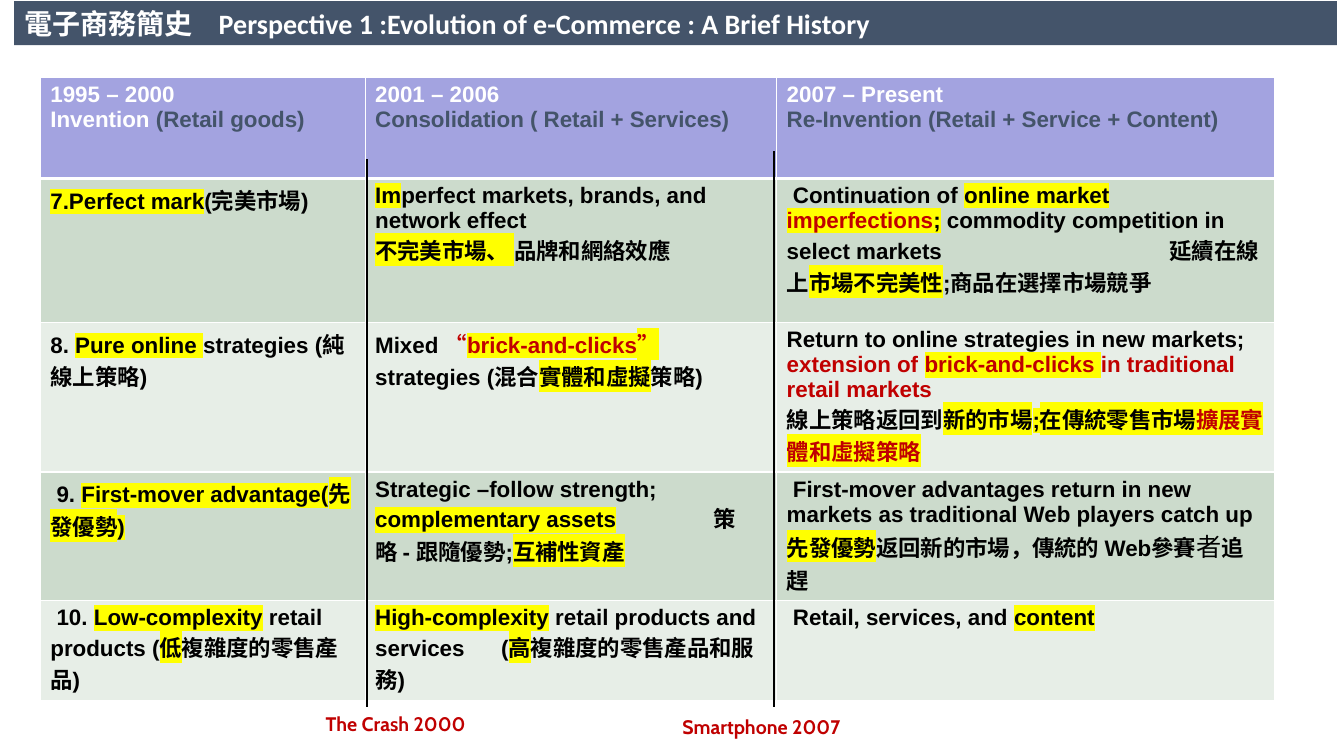
from dataclasses import dataclass

from lxml.etree import SubElement
from pptx import Presentation
from pptx.dml.color import RGBColor
from pptx.enum.shapes import MSO_CONNECTOR
from pptx.enum.text import MSO_ANCHOR, MSO_AUTO_SIZE, PP_ALIGN
from pptx.oxml.ns import qn
from pptx.util import Pt


@dataclass(frozen=True)
class Theme:
    white: str = "FFFFFF"
    black: str = "000000"
    slate: str = "44546A"
    red: str = "C00000"
    marker: str = "FFFF00"
    header: str = "A3A3E0"
    bands: tuple = ("CCDBCC", "E7EEE7")
    table_font: str = "Arial"
    title_font: str = "Calibri"
    label_font: str = "Cabin"
    title_size: float = 20
    large_size: float = 18
    table_size: float = 16
    label_size: float = 14


COLUMN_WIDTHS = (232, 294, 355.5)
ROW_HEIGHTS = (72, 103, 103, 86.5, 64.5)
# Border widths by row: left, right, top, bottom
ROW_BORDERS = (
    {"lnL": 1, "lnR": 1, "lnT": 1, "lnB": 3},
    {"lnL": 1, "lnR": 1, "lnT": 3, "lnB": 1},
    {"lnL": 1, "lnR": 1, "lnT": 1},
    {},
    {},
)

# A cell is a list of paragraphs, a paragraph a list of (text, marks):
# h highlight, r red, w white, s slate, l large and not bold.
PERIODS = (
    (
        [[("1995 – 2000", "w")], [("Invention ", "w"), ("(Retail goods)", "s")]],
        [[("2001 – 2006", "w")], [("Consolidation ( Retail + Services)", "s")]],
        [[("2007 – Present", "w")],
         [("Re-Invention (Retail + Service + Content)", "s")]],
    ),
    (
        [[("7.Perfect mark", "h"), ("(完美市場)", "")]],
        [[("Im", "h"), ("perfect markets, brands, and network effect", "")],
         [("不完美市場、 ", "h"), ("品牌和網絡效應", "")]],
        [[(" Continuation of ", ""), ("online market ", "h"),
          ("imperfections", "hr"), (";", "h"),
          (" commodity competition in select markets\t延續在線上", ""),
          ("市場不完美性", "h"), (";商品在選擇市場競爭", "")]],
    ),
    (
        [[("8. ", ""), ("Pure online ", "h"), ("strategies (純線上策略)", "")]],
        [[("Mixed ", ""), ("“", "r"), ("brick-and-clicks”", "hr"), (" ", "r"),
          ("strategies (混合", ""), ("實體和虛擬", "h"), ("策略)", "")]],
        [[("Return to online strategies in new markets; ", ""),
          ("extension of ", "r"), ("brick-and-clicks ", "hr"),
          ("in traditional retail markets", "r")],
         [("線上策略返回到", ""), ("新的市場;在傳統零售市場", "h"),
          ("擴展實體和虛擬策略", "hr")]],
    ),
    (
        [[(" 9. ", ""), ("First-mover advantage(先發優勢)", "h")]],
        [[("Strategic –follow strength; ", ""), ("complementary assets", "h"),
          ("\t策略 - 跟隨優勢;", ""), ("互補性資產", "h")]],
        [[(" First-mover advantages return in new markets as traditional "
           "Web players catch up", "")],
         [("先發優勢", "h"), ("返回新的市場，傳統的 Web參賽", ""),
          ("者", "l"), ("追趕", "")]],
    ),
    (
        [[(" 10. ", ""), ("Low-complexity", "h"), (" retail products (", ""),
          ("低", "h"), ("複雜度的零售產品)", "")]],
        [[("High-complexity", "h"), (" retail products and services\t(", ""),
          ("高", "h"), ("複雜度的零售產品和服務)", "")]],
        [[(" Retail, services, and ", ""), ("content", "h")]],
    ),
)
TAB_STOPS = {(1, 2): 273.5, (3, 1): 242, (4, 1): 90}


class SlideBuilder:
    def __init__(self, page, theme):
        self.page = page
        self.theme = theme

    def style(self, para, font, size, color):
        para.font.name = font
        para.font.size = Pt(size)
        para.font.bold = True
        para.font.color.rgb = RGBColor.from_string(color)

    def tab_stop(self, para, position):
        stops = SubElement(para._p.get_or_add_pPr(), qn("a:tabLst"))
        SubElement(stops, qn("a:tab"), pos=str(Pt(position)), algn="l")

    def title(self, text, left, top, width, height, tab):
        box = self.page.shapes.title
        box.left, box.top, box.width, box.height = map(Pt, (left, top, width, height))
        box.fill.solid()
        box.fill.fore_color.rgb = RGBColor.from_string(self.theme.slate)
        frame = box.text_frame
        frame.auto_size = MSO_AUTO_SIZE.NONE
        frame.vertical_anchor = MSO_ANCHOR.MIDDLE
        para = frame.paragraphs[0]
        para.add_run().text = text
        para.alignment = PP_ALIGN.LEFT
        self.tab_stop(para, tab)
        self.style(para, self.theme.title_font, self.theme.title_size, self.theme.white)

    def span(self, para, text, marks):
        theme = self.theme
        span = para.add_run()
        span.text = text
        for mark, color in (("r", theme.red), ("w", theme.white), ("s", theme.slate)):
            if mark in marks:
                span.font.color.rgb = RGBColor.from_string(color)
        if "l" in marks:
            span.font.size = Pt(theme.large_size)
            span.font.bold = False
        if "h" in marks:
            highlight = SubElement(span._r.get_or_add_rPr(), qn("a:highlight"))
            SubElement(highlight, qn("a:srgbClr"), val=theme.marker)

    def borders(self, cell, widths):
        """Draw white cell borders; call before the cell is filled."""
        properties = cell._tc.get_or_add_tcPr()
        for side, width in widths.items():
            line = SubElement(properties, qn(f"a:{side}"), w=str(Pt(width)))
            fill = SubElement(line, qn("a:solidFill"))
            SubElement(fill, qn("a:srgbClr"), val=self.theme.white)

    def cell(self, cell, paragraphs, color, widths, tab):
        self.borders(cell, widths)
        cell.fill.solid()
        cell.fill.fore_color.rgb = RGBColor.from_string(color)
        frame = cell.text_frame
        for index, spans in enumerate(paragraphs):
            para = frame.add_paragraph() if index else frame.paragraphs[0]
            if tab:
                self.tab_stop(para, tab)
            self.style(para, self.theme.table_font, self.theme.table_size,
                       self.theme.black)
            for text, marks in spans:
                self.span(para, text, marks)

    def table(self, rows, left, top):
        table = self.page.shapes.add_table(
            len(rows), len(COLUMN_WIDTHS), Pt(left), Pt(top),
            Pt(sum(COLUMN_WIDTHS)), Pt(sum(ROW_HEIGHTS))).table
        table.first_row = table.horz_banding = False
        for column, width in zip(table.columns, COLUMN_WIDTHS):
            column.width = Pt(width)
        for r, row in enumerate(rows):
            table.rows[r].height = Pt(ROW_HEIGHTS[r])
            color = self.theme.bands[(r - 1) % 2] if r else self.theme.header
            for c, paragraphs in enumerate(row):
                self.cell(table.cell(r, c), paragraphs, color,
                          ROW_BORDERS[r], TAB_STOPS.get((r, c)))

    def divider(self, x, top, bottom):
        line = self.page.shapes.add_connector(
            MSO_CONNECTOR.STRAIGHT, Pt(x), Pt(top), Pt(x), Pt(bottom))
        line.line.color.rgb = RGBColor.from_string(self.theme.black)
        line.line.width = Pt(1.5)
        SubElement(line._element.spPr, qn("a:effectLst"))

    def label(self, text, left, top, width, height):
        box = self.page.shapes.add_textbox(Pt(left), Pt(top), Pt(width), Pt(height))
        frame = box.text_frame
        frame.word_wrap = False
        frame.auto_size = MSO_AUTO_SIZE.SHAPE_TO_FIT_TEXT
        para = frame.paragraphs[0]
        para.add_run().text = text
        self.style(para, self.theme.label_font, self.theme.label_size, self.theme.red)


def main():
    deck = Presentation()
    deck.slide_width, deck.slide_height = Pt(960), Pt(540)
    builder = SlideBuilder(deck.slides.add_slide(deck.slide_layouts[5]), Theme())
    builder.title("電子商務簡史\tPerspective 1 :Evolution of e-Commerce : A Brief History",
                  10, 0.75, 945, 31.5, tab=139)
    builder.table(PERIODS, 28.8, 55.5)
    builder.divider(553, 108, 504.75)
    builder.divider(262, 113.75, 504.75)
    builder.label("The Crash 2000", 225.5, 504.75, 125.25, 24.5)
    builder.label("Smartphone 2007", 480.25, 507, 141.75, 24.5)
    deck.save("out.pptx")


if __name__ == "__main__":
    main()
